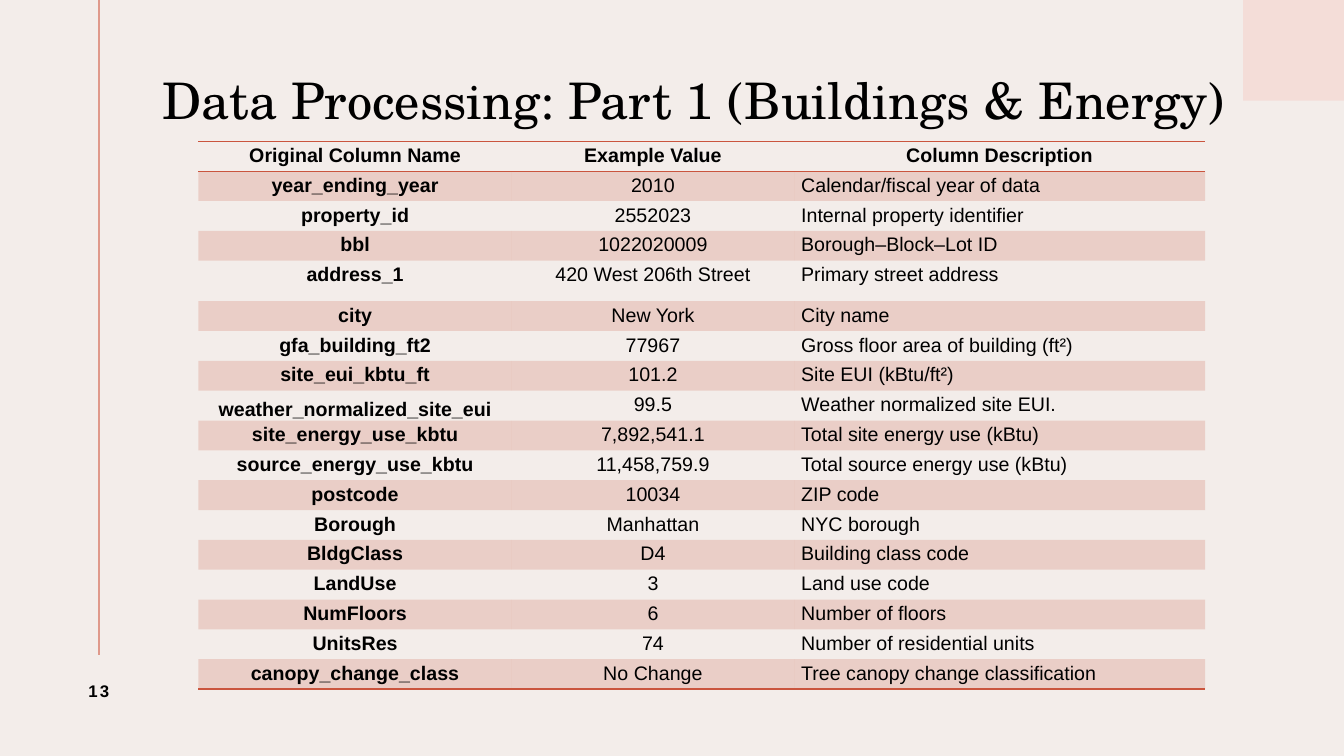
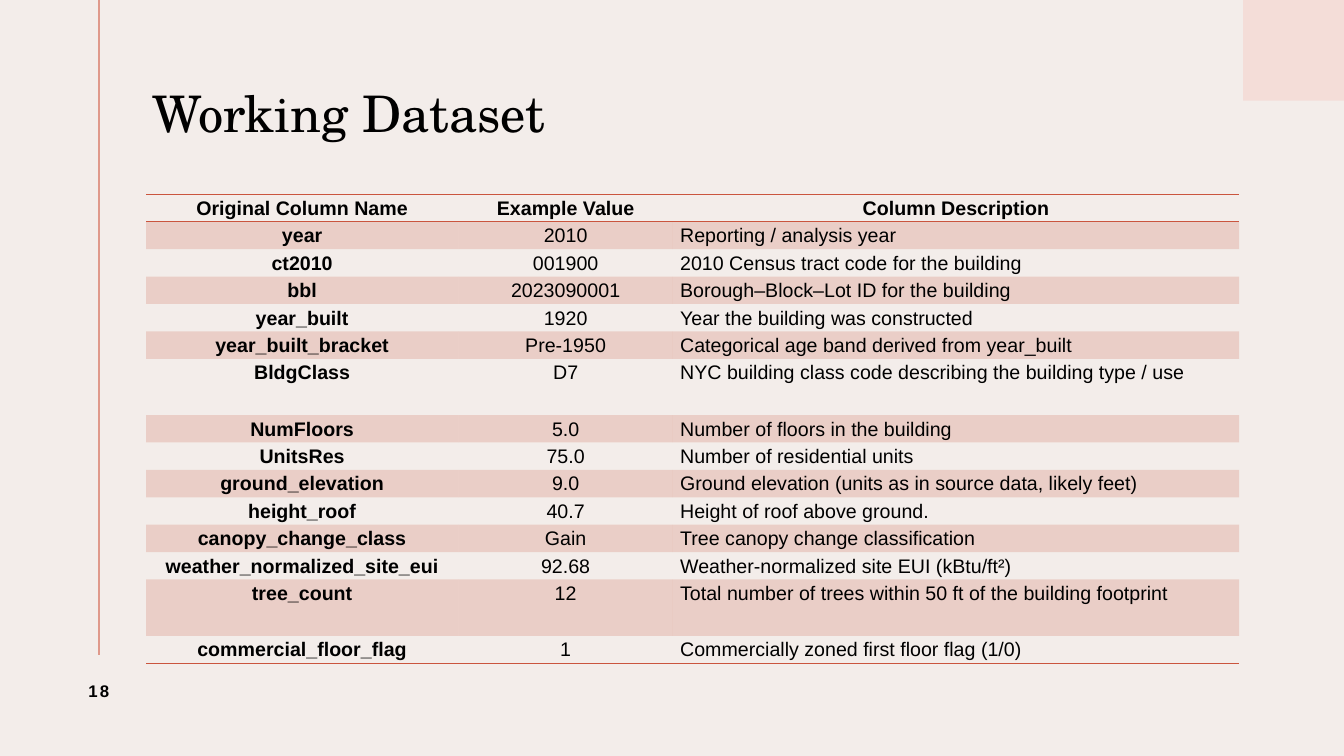
from lxml import etree
from pptx import Presentation
from pptx.dml.color import RGBColor
from pptx.enum.shapes import MSO_CONNECTOR, MSO_SHAPE
from pptx.enum.text import MSO_ANCHOR, MSO_AUTO_SIZE, PP_ALIGN
from pptx.oxml.ns import qn
from pptx.util import Cm, Pt

LINE, RECT = MSO_CONNECTOR.STRAIGHT, MSO_SHAPE.RECTANGLE
TOP, MID, LOW = MSO_ANCHOR.TOP, MSO_ANCHOR.MIDDLE, MSO_ANCHOR.BOTTOM
LEFT, MIDST = PP_ALIGN.LEFT, PP_ALIGN.CENTER
FIXED = MSO_AUTO_SIZE.NONE

HUES = {"back": "F3EDEA", "tile": "F4DDD8", "rail": "DF998B",
        "rust": "CA553E", "ink": "000000"}
HEAD, BODY = "TeX Gyre Schola", "Arial"
WIDE, HIGH = 33.87, 19.05
PLAIN = "{2D5ABB26-0587-4C30-8999-92F81FD0307C}"  # table style without grid
NAMES = ("Original Column Name", "Example Value", "Column Description")

FIELDS = [
    ("year_ending_year", "2010", "Calendar/fiscal year of data"),
    ("property_id", "2552023", "Internal property identifier"),
    ("bbl", "1022020009", "Borough–Block–Lot ID"),
    ("address_1", "420 West 206th Street", "Primary street address"),
    ("city", "New York", "City name"),
    ("gfa_building_ft2", "77967", "Gross floor area of building (ft²)"),
    ("site_eui_kbtu_ft", "101.2", "Site EUI (kBtu/ft²)"),
    ("weather_normalized_site_eui", "99.5", "Weather normalized site EUI."),
    ("site_energy_use_kbtu", "7,892,541.1", "Total site energy use (kBtu)"),
    ("source_energy_use_kbtu", "11,458,759.9", "Total source energy use (kBtu)"),
    ("postcode", "10034", "ZIP code"),
    ("Borough", "Manhattan", "NYC borough"),
    ("BldgClass", "D4", "Building class code"),
    ("LandUse", "3", "Land use code"),
    ("NumFloors", "6", "Number of floors"),
    ("UnitsRes", "74", "Number of residential units"),
    ("canopy_change_class", "No Change", "Tree canopy change classification"),
]

MERGED = [
    ("year", "2010", "Reporting / analysis year"),
    ("ct2010", "001900", "2010 Census tract code for the building"),
    ("bbl", "2023090001", "Borough–Block–Lot ID for the building"),
    ("year_built", "1920", "Year the building was constructed"),
    ("year_built_bracket", "Pre-1950", "Categorical age band derived from year_built"),
    ("BldgClass", "D7", "NYC building class code describing the building type / use"),
    ("NumFloors", "5.0", "Number of floors in the building"),
    ("UnitsRes", "75.0", "Number of residential units"),
    ("ground_elevation", "9.0", "Ground elevation (units as in source data, likely feet)"),
    ("height_roof", "40.7", "Height of roof above ground."),
    ("canopy_change_class", "Gain", "Tree canopy change classification"),
    ("weather_normalized_site_eui", "92.68", "Weather-normalized site EUI (kBtu/ft²)"),
    ("tree_count", "12", "Total number of trees within 50 ft of the building footprint"),
    ("commercial_floor_flag", "1", "Commercially zoned first floor flag (1/0)"),
]


def hue(name):
    return RGBColor.from_string(HUES[name])


class Deck:
    def __init__(self):
        self.show = Presentation()
        self.show.slide_width, self.show.slide_height = Cm(WIDE), Cm(HIGH)
        self.slide = None
        fill = self.show.slide_master.background.fill
        fill.solid()
        fill.fore_color.rgb = hue("back")

    def page(self, title, box, num):
        self.slide = self.show.slides.add_slide(self.show.slide_layouts[5])
        self.decor()
        self.title(title, box)
        self.number(num)

    # Corner tile and vertical rail
    def decor(self):
        shapes = self.slide.shapes
        tile = shapes.add_shape(RECT, Cm(WIDE - 2.54), 0, Cm(2.54), Cm(2.54))
        tile.shadow.inherit = False
        tile.fill.solid()
        tile.fill.fore_color.rgb = hue("tile")
        tile.line.fill.background()
        rail = shapes.add_connector(LINE, Cm(2.5), 0, Cm(2.5), Cm(16.5))
        rail.line.color.rgb = hue("rail")
        rail.line.width = Pt(1.5)
        etree.SubElement(rail.element.spPr, qn("a:effectLst"))

    def style(self, para, font, size, bold, align):
        para.alignment = align
        for run in para.runs:
            run.font.name, run.font.size = font, Pt(size)
            run.font.bold = bold
            run.font.color.rgb = hue("ink")

    def title(self, text, box):
        shape = self.slide.shapes.title
        shape.left, shape.top, shape.width, shape.height = map(Cm, box)
        frame = shape.text_frame
        frame.text = text
        frame.auto_size, frame.word_wrap = FIXED, True
        frame.vertical_anchor = MID
        frame.margin_left = 0
        para = frame.paragraphs[0]
        para.line_spacing = 0.9
        self.style(para, HEAD, 36, False, LEFT)

    def number(self, num):
        box = self.slide.shapes.add_textbox(Cm(1.14), Cm(16.5), Cm(2.7), Cm(1.8))
        frame = box.text_frame
        frame.text = str(num)
        frame.word_wrap, frame.vertical_anchor = True, MID
        para = frame.paragraphs[0]
        self.style(para, BODY, 12, True, MIDST)
        para.runs[0].font.element.set("spc", "150") if hasattr(
            para.runs[0].font, "element") else para.runs[0]._r.get_or_add_rPr().set("spc", "150")

    # Data table: tall maps a row to its height, low holds tight bottom cells
    def table(self, left, top, cols, high, data, tall, low=()):
        rows = [NAMES] + data
        frame = self.slide.shapes.add_table(
            len(rows), len(cols), Cm(left), Cm(top), Cm(sum(cols)), Cm(high))
        for mark in frame.element.iter(qn("a:tableStyleId")):
            mark.text = PLAIN
        table = frame.table
        table.first_row = table.horz_banding = False
        for col, wide in zip(table.columns, cols):
            col.width = Cm(wide)
        base = (high - sum(tall.values())) / (len(rows) - len(tall))
        last = len(rows) - 1
        for r, row in enumerate(rows):
            table.rows[r].height = Cm(tall.get(r, base))
            sides = {0: ("a:lnT", "a:lnB"), last: ("a:lnB",)}.get(r, ())
            for c, text in enumerate(row):
                cell = table.cell(r, c)
                self.cell(cell, text, r == 0 or c == 0,
                          LEFT if r and c == 2 else MIDST, (r, c) in low)
                self.paint(cell, r % 2 == 1, sides)

    def cell(self, cell, text, bold, align, tight):
        cell.text_frame.text = text
        pad = 0.03 if tight else 0.18
        cell.margin_left = cell.margin_right = Cm(pad)
        cell.margin_top = Cm(pad) if tight else 0
        cell.margin_bottom = 0
        cell.vertical_anchor = LOW if tight else TOP
        para = cell.text_frame.paragraphs[0]
        if not tight:
            para.line_spacing, para.space_after = 1.15, Pt(8)
        self.style(para, BODY, 14, bold, align)

    def paint(self, cell, band, sides):
        props = cell._tc.get_or_add_tcPr()
        if band:
            cell.fill.solid()
            cell.fill.fore_color.rgb = hue("rust")
            tint = props.find(".//" + qn("a:srgbClr"))
            etree.SubElement(tint, qn("a:alpha"), val="20000")
        else:
            cell.fill.background()
        for spot, side in enumerate(sides):
            line = etree.Element(qn(side), w=str(Pt(1)))
            fill = etree.SubElement(line, qn("a:solidFill"))
            etree.SubElement(fill, qn("a:srgbClr"), val=HUES["rust"])
            props.insert(spot, line)


def main():
    deck = Deck()

    # Source columns
    deck.page("Data Processing: Part 1 (Buildings & Energy)",
              (4.09, 1.4, 27.25, 2.41), 13)
    deck.table(5, 3.56, (7.9, 7.11, 10.36), 13.82, FIELDS,
               {4: 1.02}, {(8, 0)})

    # Working columns
    deck.page("Working Dataset", (3.84, 0.94, 27.25, 3.96), 18)
    deck.table(3.68, 4.9, (7.87, 5.41, 14.27), 11.81, MERGED,
               {6: 1.42, 13: 1.42})

    deck.show.save("out.pptx")


if __name__ == "__main__":
    main()
